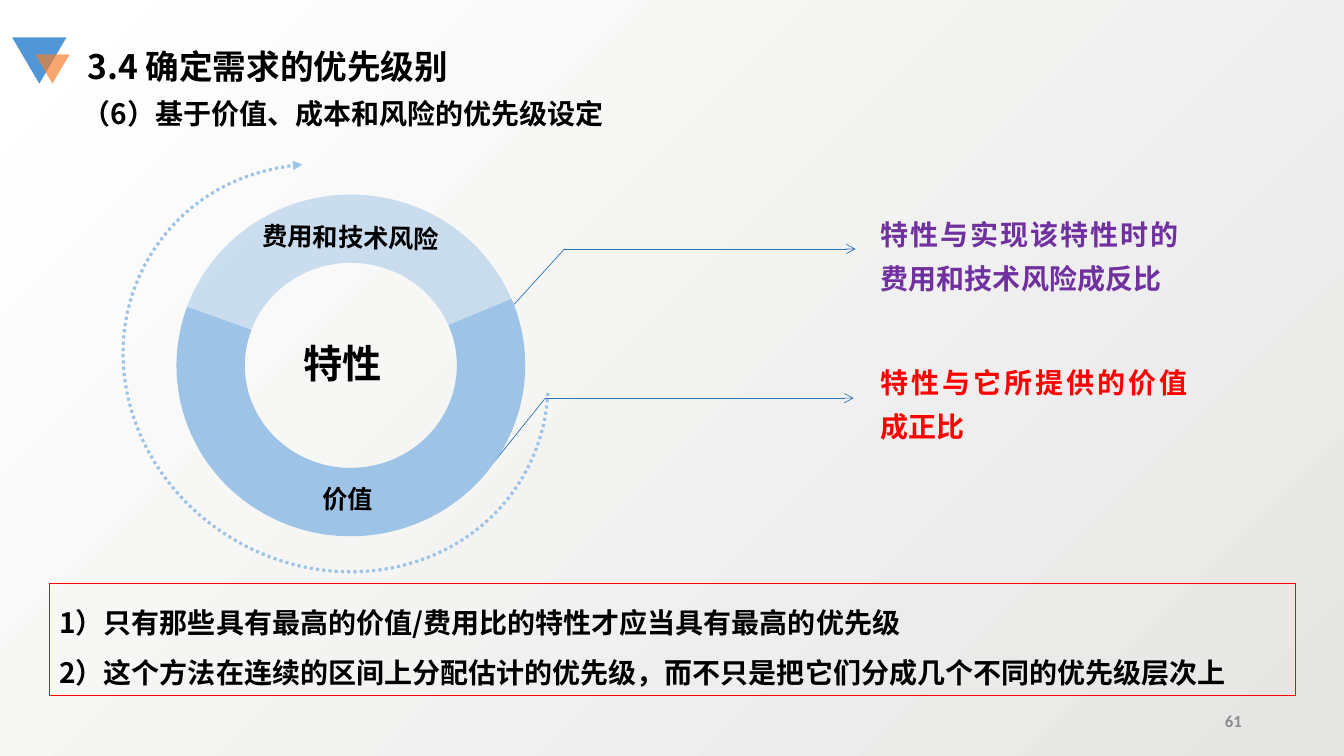
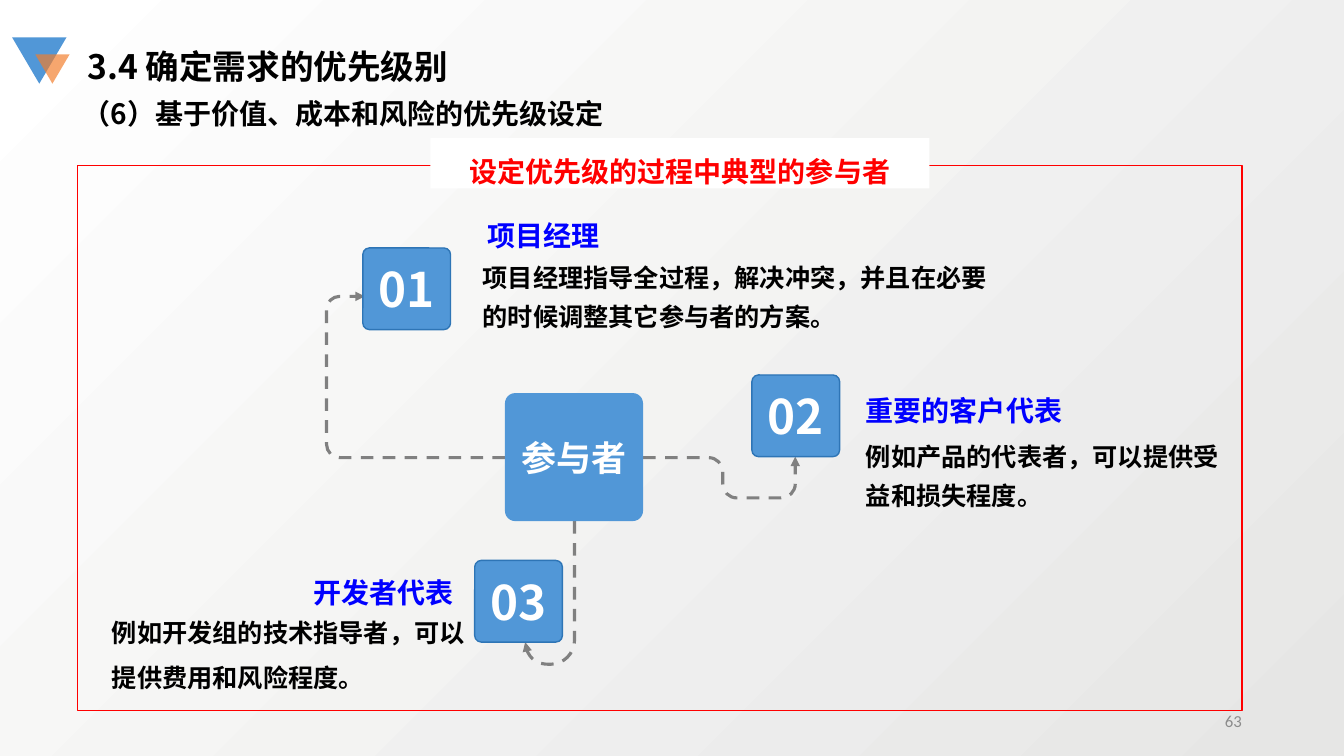
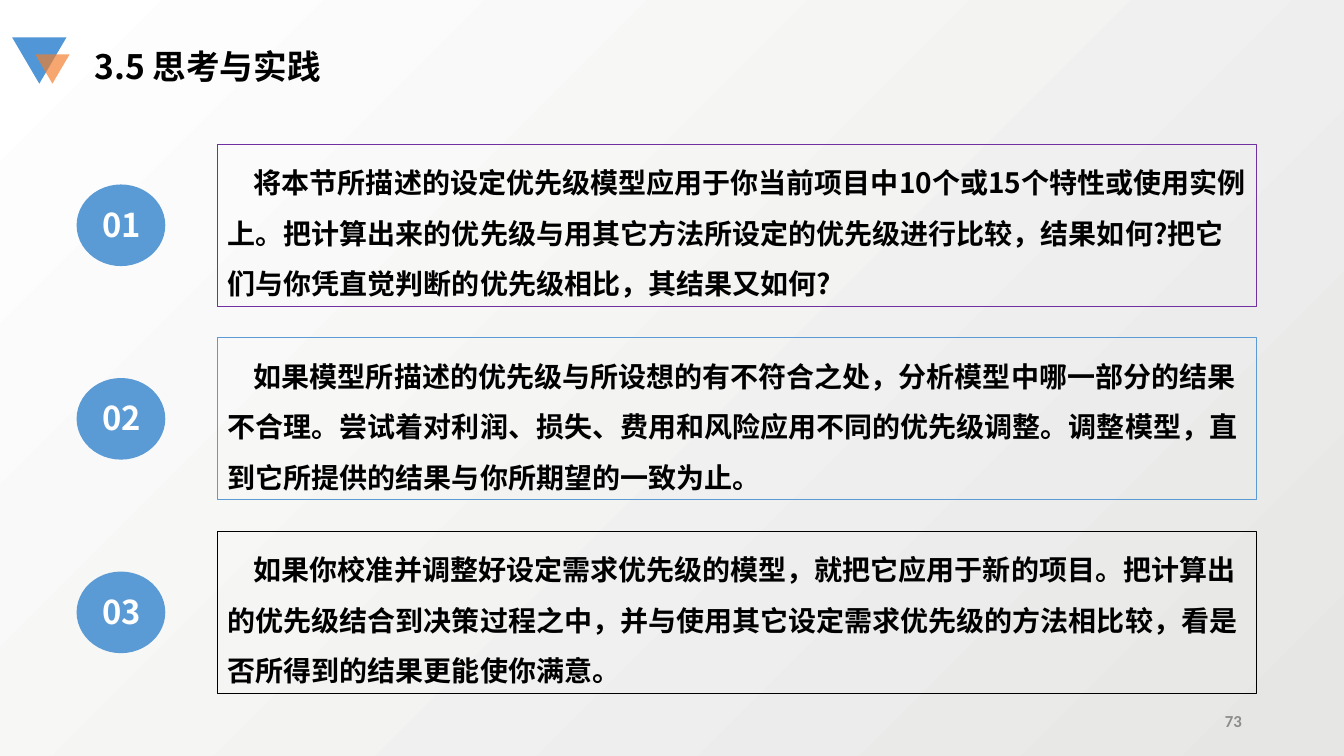
from math import cos, sin, tan, radians
from lxml import etree
from pptx import Presentation, util as u
from pptx.dml.color import RGBColor
from pptx.enum import dml, shapes, text
from pptx.oxml.ns import qn

INK = {
    "black": "000000", "white": "FFFFFF", "red": "FF0000", "blue": "0000FF",
    "violet": "7030A0", "gray": "808080", "number": "8C8C8C", "mist": "E6E6E5",
    "brand": "5197D7", "orange": "F37D2A", "edge": "2E75B6", "ring": "9DC3E6",
    "disc": "5B9BD5",
}
SANS = "Noto Sans CJK SC"
KIND = shapes.MSO_SHAPE
DASH = dml.MSO_LINE
LEFT, MID, RIGHT, JUST = (text.PP_ALIGN.LEFT, text.PP_ALIGN.CENTER,
                          text.PP_ALIGN.RIGHT, text.PP_ALIGN.JUSTIFY)


def put(page, words, box, kind=None, size=20, color="black", bold=True, font=SANS,
        align=LEFT, lead=None, middle=False, wrap=True, pad=(0.1, 0.05),
        left=0, first=0, turn=0, fill=None, line=None, width=0.75):
    """Place text, one paragraph a line, in a text box or in a preset shape."""
    area = [u.Inches(n) for n in box]
    if kind is None:
        item = page.shapes.add_textbox(*area)
    else:
        item = page.shapes.add_shape(kind, *area)
        item.shadow.inherit = False
        item.fill.background()
        item.line.fill.background()
    if fill:
        item.fill.solid()
        item.fill.fore_color.rgb = RGBColor.from_string(INK[fill])
    if line:
        item.line.color.rgb = RGBColor.from_string(INK[line])
        item.line.width = u.Pt(width)
    item.rotation = turn
    if not words:
        return item
    frame = item.text_frame
    frame.word_wrap = wrap
    frame.vertical_anchor = text.MSO_ANCHOR.MIDDLE if middle else text.MSO_ANCHOR.TOP
    frame.margin_left = frame.margin_right = u.Inches(pad[0])
    frame.margin_top = frame.margin_bottom = u.Inches(pad[1])
    for i, part in enumerate(words.split("\n")):
        para = frame.add_paragraph() if i else frame.paragraphs[0]
        para.alignment = align
        if lead:
            para.line_spacing = lead
        if left or first:
            props = para._p.get_or_add_pPr()
            props.set("marL", str(u.Inches(left)))
            props.set("indent", str(u.Inches(first)))
        run = para.add_run()
        run.text = part
        run.font.size, run.font.bold, run.font.name = u.Pt(size), bold, font
        run.font.color.rgb = RGBColor.from_string(INK[color])
        etree.SubElement(run._r.rPr, qn("a:ea")).set("typeface", SANS)
    return item


def trace(page, start, steps, line, width, dash=None, tip=None):
    """Draw a line; a step is one point, or three points of a cubic curve."""
    spots = [(u.Inches(x), u.Inches(y)) for x, y in [start] + sum(steps, [])]
    if len(spots) == 2:
        item = page.shapes.add_connector(shapes.MSO_CONNECTOR.STRAIGHT, *spots[0], *spots[1])
        etree.SubElement(item._element.spPr, qn("a:effectLst"))
    else:
        pen = page.shapes.build_freeform(*spots[0], scale=1.0)
        pen.add_line_segments(spots[1:], close=False)
        item = pen.convert_to_shape()
        item.shadow.inherit = False
        item.fill.background()
        nodes = iter(list(item._element.iter(qn("a:lnTo"))))
        for step in steps:
            group = [next(nodes) for _ in step]
            if len(group) == 3:
                curve = etree.Element(qn("a:cubicBezTo"))
                group[0].addprevious(curve)
                for node in group:
                    curve.append(node[0])
                    node.getparent().remove(node)
    item.line.color.rgb = RGBColor.from_string(INK[line])
    item.line.width = u.Pt(width)
    if dash:
        item.line.dash_style = dash
    if tip:
        etree.SubElement(item.line._get_or_add_ln(), qn("a:tailEnd")).set("type", tip)
    return item


deck = Presentation()
deck.slide_width, deck.slide_height = u.Inches(40 / 3), u.Inches(7.5)

# Shared background, mark, titles and page numbers
back = deck.slide_master.background.fill
back.gradient()
back.gradient_angle = 135
for stop, tone in zip(back.gradient_stops, ("mist", "white")):
    stop.color.rgb = RGBColor.from_string(INK[tone])

RANK = "3.4 确定需求的优先级别"
VALUE = "（6）基于价值、成本和风险的优先级设定"
pages, clear = [], []
for title, x, sub, num, bold in (
    (RANK, 0.77, VALUE, "61", True),
    (RANK, 0.77, VALUE, "63", False),
    ("3.5 思考与实践", 0.84, None, "73", True),
):
    page = deck.slides.add_slide(deck.slide_layouts[6])
    pages.append(page)
    put(page, None, (0.12, 0.37, 0.54, 0.46), KIND.ISOSCELES_TRIANGLE, turn=180, fill="brand")
    small = put(page, None, (0.35, 0.54, 0.34, 0.29), KIND.ISOSCELES_TRIANGLE,
                turn=180, fill="orange")
    clear.append((small, 68))
    put(page, title, (x, 0.41, 4.11, 0.5), size=24)
    if sub:
        put(page, sub, (0.72, 0.91, 8.49, 0.44))
    put(page, num, (9.42, 6.95, 3, 0.4), size=12, color="number", bold=bold,
        font="Calibri", align=RIGHT, middle=True)
wheel, team, tasks = pages

# Value and cost wheel
for words, box, tone in (
    ("特性与实现该特性时的费用和技术风险成反比", (8.64, 2.01, 3.15, 0.97), "violet"),
    ("特性与它所提供的价值成正比", (8.64, 3.48, 3.24, 0.97), "red"),
):
    put(wheel, words, box, color=tone, align=JUST, lead=1.3)
for start, bend, end in (
    ((5.1, 3.02), (5.6, 2.47), (8.49, 2.47)),
    ((4.88, 4.61), (5.41, 3.95), (8.47, 3.95)),
):
    trace(wheel, start, [[bend]], "edge", 0.5)
    trace(wheel, bend, [[end]], "edge", 0.5, tip="arrow")

orbit = []
turns = [radians(deg) for deg in (155, 180, 270, 360, 413)]
for a, b in zip(turns, turns[1:]):
    k = 4 / 3 * tan((b - a) / 4)
    units = ((cos(a), sin(a)), (cos(a) - k * sin(a), sin(a) + k * cos(a)),
             (cos(b) + k * sin(b), sin(b) - k * cos(b)), (cos(b), sin(b)))
    marks = [(3.23 + 2.15 * x, 4.02 + 1.98 * y) for x, y in units]
    orbit.append(marks[1:])
    if a == turns[0]:
        start = marks[0]
track = trace(wheel, start, orbit, "ring", 2.25, DASH.ROUND_DOT, "triangle")
track.rotation = 210

for low, high, turn, alpha in ((201.1, 338.9, 358.6, 50), (159, 21.2, 178.5, 100)):
    band = put(wheel, None, (1.75, 1.93, 3.46, 3.39), KIND.BLOCK_ARC, turn=turn, fill="ring")
    band.adjustments[0], band.adjustments[1] = low * 0.6, high * 0.6
    band.adjustments[2] = 0.2
    if alpha < 100:
        clear.append((band, alpha))
put(wheel, "费用和技术风险", (2.27, 2.15, 2.42, 0.4), size=18, align=MID, turn=1.1)
put(wheel, "价值", (2.24, 4.75, 2.42, 0.4), size=18, align=MID, turn=1.1)
put(wheel, "特性", (2.91, 3.32, 1.08, 0.57), size=28)
put(wheel, "1）只有那些具有最高的价值/费用比的特性才应当具有最高的优先级\n"
    "2）这个方法在连续的区间上分配估计的优先级，而不只是把它们分成几个不同的优先级层次上",
    (0.49, 5.79, 12.36, 1.11), KIND.RECTANGLE, align=JUST, lead=1.5, line="red")

# Participants
for knots, r in (
    (((5.01, 4.54), (3.24, 4.54), (3.24, 2.94), (3.62, 2.94)), 0.13),
    (((6.38, 4.54), (7.17, 4.54), (7.17, 4.94), (7.89, 4.94), (7.89, 4.53)), 0.14),
    (((5.7, 5.17), (5.7, 6.59), (5.21, 6.59), (5.21, 6.37)), 0.24),
):
    route = []
    for prev, turn, then in zip(knots, knots[1:], knots[2:]):
        ends = []
        for x, y in (prev, then):
            part = min(1, r / (abs(x - turn[0]) + abs(y - turn[1])))
            ends += [tuple(c + (p - c) * f for p, c in zip((x, y), turn))
                     for f in (part, part * 0.45)]
        route += [[ends[0]], [ends[1], ends[3], ends[2]]]
    if part < 1:
        route.append([knots[-1]])
    trace(team, knots[0], route, "gray", 2.25, DASH.DASH, "triangle")

hub = put(team, "参与者", (5.01, 3.9, 1.37, 1.27), KIND.ROUNDED_RECTANGLE, size=25,
          color="white", font="Calibri", align=MID, middle=True, pad=(0.08, 0.04), fill="brand")
hub.adjustments[0] = 0.08
for num, x, y, name, head, side, words, body, lead, left in (
    ("01", 3.6, 2.46, "项目经理", (4.27, 2, 2.25, 0.5), MID,
     "项目经理指导全过程，解决冲突，并且在必要的时候调整其它参与者的方案。",
     (4.71, 2.47, 5.26, 0.86), 1.3, 0),
    ("02", 7.46, 3.72, "重要的客户代表", (8.51, 3.74, 2.46, 0.5), LEFT,
     "例如产品的代表者，可以提供受益和损失程度。", (8.51, 4.25, 3.81, 0.86), 1.3, 0),
    ("03", 4.71, 5.56, "开发者代表", (2.89, 5.54, 1.69, 0.5), RIGHT,
     "例如开发组的技术指导者，可以提供费用和风险程度。",
     (0.51, 5.93, 4.2, 0.98), 1.5, 0.52),
):
    badge = put(team, num, (x, y, 0.87, 0.81), KIND.ROUNDED_RECTANGLE, size=34, color="white",
                align=MID, middle=True, pad=(0.08, 0.04), fill="brand", line="edge", width=1)
    badge.adjustments[0] = 0.08
    put(team, words, body, size=18, lead=lead, left=left, pad=(0.08, 0.04))
    put(team, name, head, color="blue", align=side, lead=1.5, pad=(0.08, 0))
put(team, None, (0.77, 1.64, 11.55, 5.41), KIND.RECTANGLE, line="red", width=1)
put(team, "设定优先级的过程中典型的参与者", (4.27, 1.37, 4.95, 0.5), KIND.RECTANGLE,
    color="red", align=MID, lead=1.5, pad=(0.08, 0), fill="white")

# Exercises
for i, (tone, words) in enumerate((
    ("violet", "将本节所描述的设定优先级模型应用于你当前项目中10个或15个特性或使用实例上。"
     "把计算出来的优先级与用其它方法所设定的优先级进行比较，结果如何?"
     "把它们与你凭直觉判断的优先级相比，其结果又如何?"),
    ("disc", "如果模型所描述的优先级与所设想的有不符合之处，分析模型中哪一部分的结果不合理。"
     "尝试着对利润、损失、费用和风险应用不同的优先级调整。"
     "调整模型，直到它所提供的结果与你所期望的一致为止。"),
    ("black", "如果你校准并调整好设定需求优先级的模型，就把它应用于新的项目。"
     "把计算出的优先级结合到决策过程之中，并与使用其它设定需求优先级的方法相比较，"
     "看是否所得到的结果更能使你满意。"),
)):
    top = 1.43 + 1.92 * i
    put(tasks, words, (2.16, top, 10.31, 1.61), KIND.RECTANGLE, lead=1.5, first=0.26, line=tone)
    put(tasks, None, (0.76, top + 0.4, 0.88, 0.81), KIND.OVAL, fill="disc")
    put(tasks, f"{i + 1:02}", (0.89, top + 0.55, 0.63, 0.5), KIND.RECTANGLE, size=23.4,
        color="white", align=MID, wrap=False, fill="disc")

for item, alpha in clear:
    tint = item._element.spPr.find(qn("a:solidFill"))[0]
    etree.SubElement(tint, qn("a:alpha")).set("val", str(alpha * 1000))

deck.save("out.pptx")
